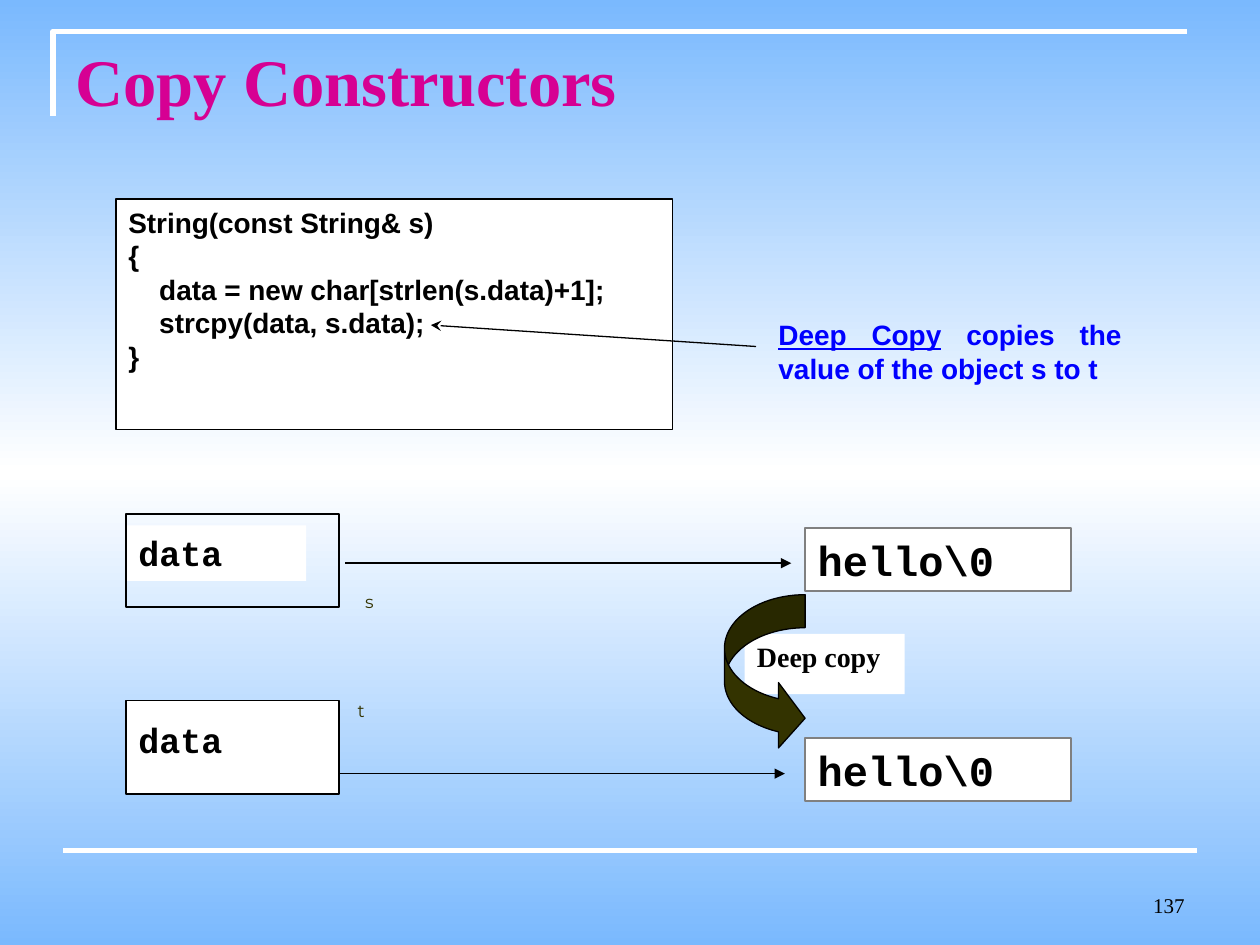
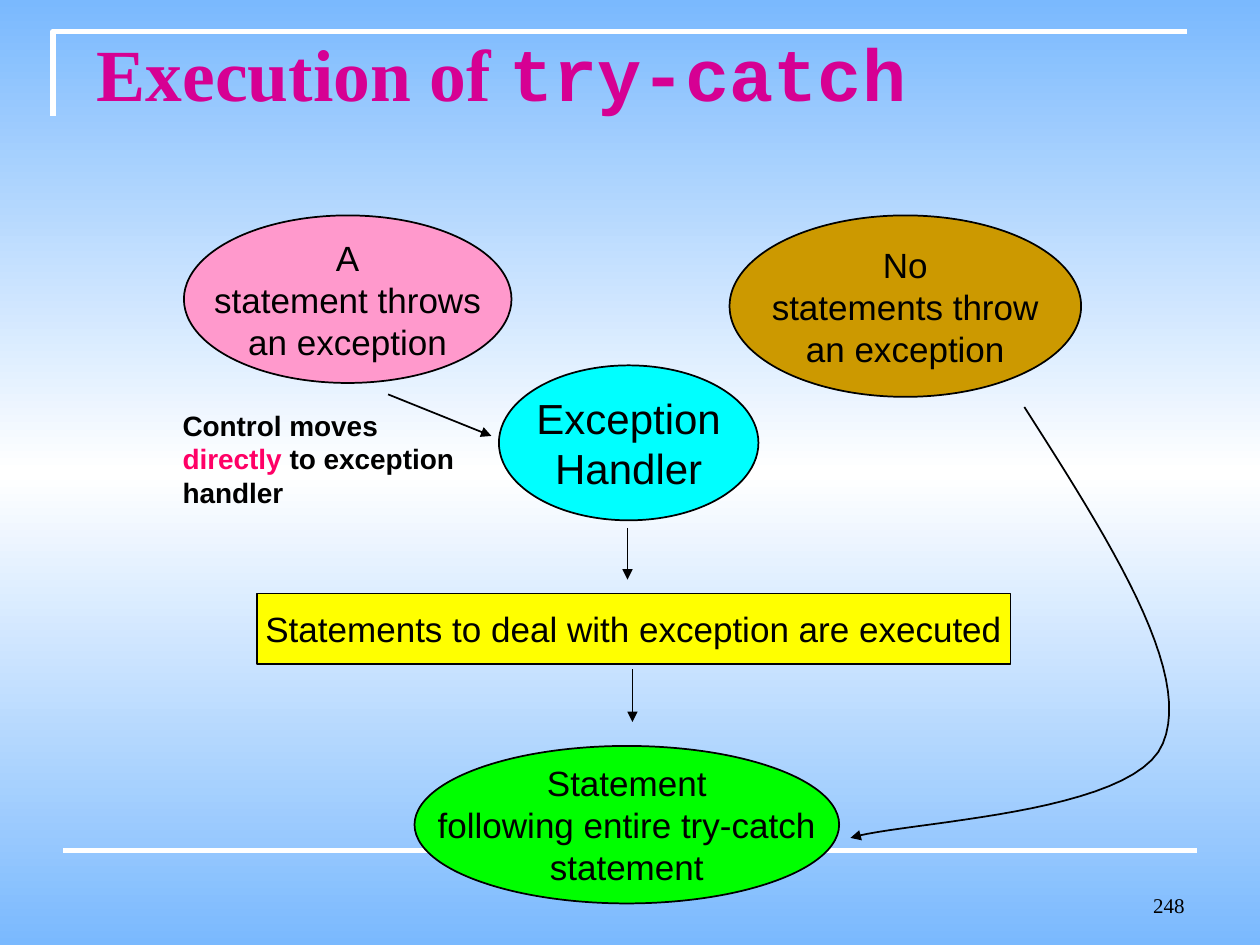
from copy import deepcopy

from pptx import Presentation
from pptx.dml.color import RGBColor
from pptx.enum.shapes import MSO_CONNECTOR, MSO_SHAPE
from pptx.enum.text import MSO_ANCHOR, PP_ALIGN
from pptx.oxml.ns import qn
from pptx.util import Inches, Pt
from lxml.etree import SubElement

# Colours and text formats
HUES = {
    "sky": "7AB9FE", "white": "FFFFFF", "black": "000000", "grey": "808080",
    "title": "D60093", "blue": "0000FF", "olive": "333300", "red": "FF0066",
    "gold": "CC9900", "green": "00FF00", "pink": "FF99CC", "cyan": "00FFFF",
    "yellow": "FFFF00",
}
SERIF, SANS, MONO = "Times New Roman", "Arial", "Courier New"
FORMS = {
    "title": {"name": SERIF, "size": 38, "bold": True, "hue": "title"},
    "page": {"name": SERIF, "size": 12},
    "code": {"name": SANS, "size": 16, "bold": True},
    "note": {"name": SERIF, "size": 16, "bold": True},
    "deep": {"name": SANS, "size": 16, "bold": True, "hue": "blue"},
    "data": {"name": MONO, "size": 20, "bold": True},
    "value": {"name": MONO, "size": 24, "bold": True},
    "tag": {"name": "Montserrat", "size": 10, "hue": "olive"},
    "node": {"name": SANS, "size": 20},
    "big": {"name": SANS, "size": 24},
}
LEFT, MID, RIGHT, EVEN = (PP_ALIGN.LEFT, PP_ALIGN.CENTER,
                          PP_ALIGN.RIGHT, PP_ALIGN.JUSTIFY)
TOP, CORE, BASE = MSO_ANCHOR.TOP, MSO_ANCHOR.MIDDLE, MSO_ANCHOR.BOTTOM
RECT, OVAL = MSO_SHAPE.RECTANGLE, MSO_SHAPE.OVAL

# Content of slide 1: a line is a string or a list of (text, changes) runs
CODE = [
    "String(const String& s)",
    "{",
    "    data = new char[strlen(s.data)+1];",
    "    strcpy(data, s.data);",
    "}",
]
DEEP = [[("Deep Copy", {"underline": True}),
         (" copies the value of the object s to t", {})]]
# Each object: top of its box, tops of its data and value, place of its tag
OBJECTS = [
    {"tag": "s", "box": 4.08, "data": 4.17, "mark": (2.8, 4.64),
     "value": 4.19, "arrow": (2.74, 4.47, 6.28, 4.47)},
    {"tag": "t", "box": 5.56, "data": 5.65, "mark": (2.74, 5.51),
     "value": 5.86, "arrow": (2.69, 6.14, 6.23, 6.14)},
]

# Content of slide 2: place, shape, fill, format, lines
NODES = [
    ((5.79, 1.71, 2.79, 1.44), OVAL, "gold", "node",
     ["No", "statements throw", "an exception"]),
    ((3.29, 5.92, 3.37, 1.25), OVAL, "green", "node",
     ["Statement", "following entire try-catch", "statement"]),
    ((1.46, 1.71, 2.6, 1.33), OVAL, "pink", "node",
     ["A", "statement throws", "an exception"]),
    ((3.96, 2.9, 2.06, 1.23), OVAL, "cyan", "big",
     ["Exception", "Handler"]),
    ((2.04, 4.71, 5.98, 0.56), RECT, "yellow", "node",
     ["Statements to deal with exception are executed"]),
]
STEPS = [(3.08, 3.13, 3.9, 3.46), (4.98, 4.19, 4.98, 4.6),
         (5.02, 5.31, 5.02, 5.73)]
BENDS = [[(8.13, 3.23), (8.8, 4.28), (9.47, 5.33), (9.23, 5.9)],
         [(9.23, 5.9), (9, 6.47), (7.16, 6.52), (6.75, 6.65)]]
MOVES = [[("Control moves ", {}), ("directly", {"hue": "red"}),
          (" to exception handler", {})]]


def tint(hue):
    return RGBColor.from_string(HUES[hue])


def style(font, form):
    """Set every font value that the format names."""
    for key, val in form.items():
        if key == "hue":
            font.color.rgb = tint(val)
        else:
            setattr(font, key, Pt(val) if key == "size" else val)


def write(shape, lines, form, align=LEFT, anchor=TOP, wrap=True):
    frame = shape.text_frame
    frame.word_wrap, frame.vertical_anchor = wrap, anchor
    for n, line in enumerate(lines):
        para = frame.add_paragraph() if n else frame.paragraphs[0]
        para.alignment = align
        for text, change in [(line, {})] if isinstance(line, str) else line:
            run = para.add_run()
            run.text = text
            style(run.font, {"hue": "black"} | FORMS[form] | change)


def label(slide, at, lines, form, **opts):
    box = slide.shapes.add_textbox(*map(Inches, at))
    write(box, lines, form, **opts)


def ink(line, hue, width):
    line.color.rgb = tint(hue)
    line.width = Pt(width)


def block(slide, at, fill=None, edge=None, width=1, kind=RECT):
    shape = slide.shapes.add_shape(kind, *map(Inches, at))
    shape.shadow.inherit = False
    if fill:
        shape.fill.solid()
        shape.fill.fore_color.rgb = tint(fill)
    else:
        shape.fill.background()
    if edge:
        ink(shape.line, edge, width)
    else:
        shape.line.fill.background()
    return shape


def tip(shape, head):
    """Put an arrowhead at the end of a drawn line."""
    line = shape._element.spPr.find(qn("a:ln"))
    SubElement(line, qn("a:tailEnd"), type=head)


def link(slide, ends, hue="black", width=1, head="triangle"):
    wire = slide.shapes.add_connector(MSO_CONNECTOR.STRAIGHT,
                                      *map(Inches, ends))
    SubElement(wire._element.spPr, qn("a:effectLst"))
    ink(wire.line, hue, width)
    if head:
        tip(wire, head)


def trace(slide, dots, hue, width):
    """Draw an open, unfilled outline through the dots."""
    first, *rest = [(Inches(x), Inches(y)) for x, y in dots]
    pen = slide.shapes.build_freeform(*first)
    pen.add_line_segments(rest, close=False)
    shape = pen.convert_to_shape()
    shape.shadow.inherit = False
    shape.fill.background()
    ink(shape.line, hue, width)
    return shape


def curve(knots, count=24):
    """Points along one cubic curve."""
    dots = []
    for n in range(count + 1):
        t = n / count
        parts = ((1 - t) ** 3, 3 * t * (1 - t) ** 2,
                 3 * t * t * (1 - t), t ** 3)
        dots.append(tuple(sum(p * k[i] for p, k in zip(parts, knots))
                          for i in (0, 1)))
    return dots


def start(deck, page):
    """A slide with the shared background, rules and page number."""
    slide = deck.slides.add_slide(deck.slide_layouts[6])
    fill = slide.background.fill
    fill.gradient()
    fill.gradient_angle = 90
    for stop, hue, pos in zip(fill.gradient_stops, ("sky", "white"), (0, 0.5)):
        stop.color.rgb = tint(hue)
        stop.position = pos
    stops = slide.element.find(".//" + qn("a:gsLst"))
    last = deepcopy(stops[0])
    last.set("pos", "100000")
    stops.append(last)
    trace(slide, [(0.42, 0.92), (0.42, 0.25), (9.42, 0.25)], "white", 3)
    link(slide, (0.5, 6.75, 9.5, 6.75), "white", 3, None)
    label(slide, (7.17, 6.83, 2.33, 0.5), [page], "page",
          align=RIGHT, anchor=BASE)
    return slide


def copies(deck):
    slide = start(deck, "137")
    label(slide, (0.5, 0.3, 9, 0.7), ["Copy Constructors"], "title",
          anchor=BASE)
    # Code and its remark
    write(block(slide, (0.92, 1.58, 4.42, 1.83), "white", "black", 0.75),
          CODE, "code")
    link(slide, (6, 2.75, 3.42, 2.58), width=0.75, head="stealth")
    label(slide, (6.08, 2.47, 2.92, 0.64), DEEP, "deep",
          align=EVEN, anchor=CORE)
    # Objects and the values they point to
    write(block(slide, (5.91, 5.03, 1.27, 0.48), "white"),
          ["Deep copy"], "note")
    for obj in OBJECTS:
        first = obj["tag"] == "s"
        if first:
            block(slide, (1, obj["data"], 1.43, 0.44), "white")
        block(slide, (1, obj["box"], 1.69, 0.74),
              None if first else "white", "black")
        label(slide, (1, obj["data"], 1.9, 0.44), ["data"], "data")
        label(slide, (*obj["mark"], 0.3, 0.32), [obj["tag"]], "tag",
              wrap=False)
        write(block(slide, (6.39, obj["value"], 2.11, 0.5), "white", "grey"),
              ["hello\\0"], "value")
        link(slide, obj["arrow"])
    # Bent arrow from the first value to the second
    bend = block(slide, (5.75, 4.72, 0.64, 1.24), "olive", "black", 0.75,
                 MSO_SHAPE.CURVED_RIGHT_ARROW)
    for n, val in enumerate((0.41, 0.81, 0.33)):
        bend.adjustments[n] = val


def catch(deck):
    slide = start(deck, "248")
    label(slide, (0.67, 0.17, 8.58, 1.25),
          [[("Execution of ", {"size": 42}),
            ("try-catch", {"size": 42, "name": MONO})]], "title")
    # Flow of control
    for at, kind, fill, form, lines in NODES:
        write(block(slide, at, fill, "black", kind=kind), lines, form,
              align=MID, anchor=CORE, wrap=False)
    for ends in STEPS:
        link(slide, ends)
    upper, lower = map(curve, BENDS)
    tip(trace(slide, upper + lower[1:], "black", 1), "triangle")
    label(slide, (1.35, 3.19, 2.48, 0.9), MOVES, "code")


def main():
    deck = Presentation()
    deck.slide_width, deck.slide_height = Inches(10), Inches(7.5)
    copies(deck)
    catch(deck)
    deck.save("out.pptx")


if __name__ == "__main__":
    main()
